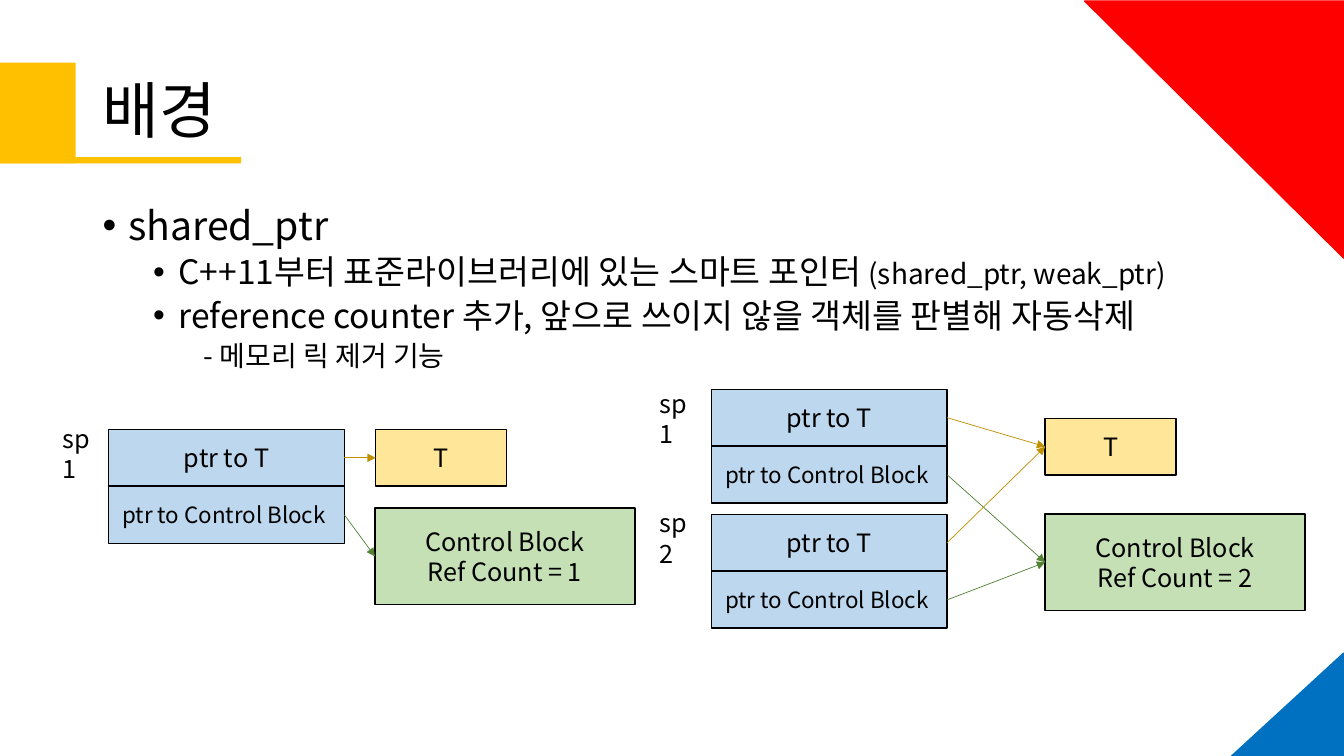
import pptx
import pptx.util
import pptx.dml.color
import pptx.enum.shapes
import pptx.enum.text
import pptx.oxml.ns
import lxml.etree

Cm = pptx.util.Cm
Pt = pptx.util.Pt
RGBColor = pptx.dml.color.RGBColor
SHAPE = pptx.enum.shapes.MSO_SHAPE
ANCHOR = pptx.enum.text.MSO_ANCHOR
ALIGN = pptx.enum.text.PP_ALIGN
qn = pptx.oxml.ns.qn

FONT = "Noto Sans CJK KR"
BLACK = RGBColor(0x00, 0x00, 0x00)
POINTER_BLUE = RGBColor(0xBD, 0xD7, 0xEE)
OBJECT_YELLOW = RGBColor(0xFF, 0xE6, 0x99)
CONTROL_GREEN = RGBColor(0xC5, 0xE0, 0xB4)
OBJECT_ARROW = RGBColor(0xBF, 0x90, 0x00)
CONTROL_ARROW = RGBColor(0x54, 0x82, 0x35)
GOLD = RGBColor(0xFF, 0xC0, 0x00)
CORNER_BLUE = RGBColor(0x00, 0x70, 0xC0)
CORNER_RED = RGBColor(0xFF, 0x00, 0x00)

CELL_WIDTH, CELL_HEIGHT, CELL_STEP = 5.94, 1.43, 1.44
LEFT_SITE, RIGHT_SITE = 1, 3


def add_run(para, text, size):
    span = para.add_run()
    span.text = text
    span.font.size = Pt(size)
    span.font.color.rgb = BLACK
    span.font.name = FONT
    lxml.etree.SubElement(span._r.get_or_add_rPr(), qn("a:ea"), typeface=FONT)


def add_text_box(page, left, top, width, height, anchor=ANCHOR.TOP):
    box = page.shapes.add_textbox(Cm(left), Cm(top), Cm(width), Cm(height))
    box.text_frame.word_wrap = True
    box.text_frame.vertical_anchor = anchor
    return box.text_frame


def add_shape(page, kind, left, top, width, height, fill, line=None):
    shape = page.shapes.add_shape(kind, Cm(left), Cm(top), Cm(width), Cm(height))
    shape.shadow.inherit = False
    shape.fill.solid()
    shape.fill.fore_color.rgb = fill
    if line is None:
        shape.line.fill.background()
    else:
        shape.line.color.rgb = line
        shape.line.width = Pt(1)
    return shape


def add_block(page, left, top, width, height, fill, lines, size=18):
    block = add_shape(page, SHAPE.RECTANGLE, left, top, width, height, fill, BLACK)
    frame = block.text_frame
    frame.vertical_anchor = ANCHOR.MIDDLE
    for index, text in enumerate(lines):
        para = frame.add_paragraph() if index else frame.paragraphs[0]
        para.alignment = ALIGN.CENTER
        add_run(para, text, size)
    return block


def add_pointer(page, name, left, top, label_left, label_top):
    """Draw a labelled shared_ptr and return its two cells."""
    object_cell = add_block(page, left, top, CELL_WIDTH, CELL_HEIGHT,
                            POINTER_BLUE, ["ptr to T"])
    control_cell = add_block(page, left, top + CELL_STEP, CELL_WIDTH, CELL_HEIGHT,
                             POINTER_BLUE, ["ptr to Control Block "], 16)
    label = add_text_box(page, label_left, label_top, 1.45, 1.8)
    add_run(label.paragraphs[0], name, 18)
    return object_cell, control_cell


def add_object(page, left, top):
    return add_block(page, left, top, 3.3, CELL_HEIGHT, OBJECT_YELLOW, ["T"])


def add_control(page, left, top, count):
    return add_block(page, left, top, 6.55, 2.44, CONTROL_GREEN,
                     ["Control Block", f"Ref Count = {count}"])


def add_arrow(page, source, target, color):
    arrow = page.shapes.add_connector(
        pptx.enum.shapes.MSO_CONNECTOR.STRAIGHT, 0, 0, 0, 0)
    arrow.begin_connect(source, RIGHT_SITE)
    arrow.end_connect(target, LEFT_SITE)
    arrow.line.color.rgb = color
    arrow.line.width = Pt(0.5)
    lxml.etree.SubElement(arrow.line._get_or_add_ln(), qn("a:tailEnd"), type="triangle")
    lxml.etree.SubElement(arrow._element.spPr, qn("a:effectLst"))


def link_pointer(page, cells, target, control):
    add_arrow(page, cells[0], target, OBJECT_ARROW)
    add_arrow(page, cells[1], control, CONTROL_ARROW)


def add_title(page, text):
    frame = add_text_box(page, 2.34, 1.02, 29.21, 3.68, ANCHOR.MIDDLE)
    para = frame.paragraphs[0]
    para.line_spacing = 0.9
    add_run(para, text, 44)


def add_body(page, items):
    """Each item holds left margin, hanging indent, bullet and runs."""
    frame = add_text_box(page, 2.34, 5.08, 29.69, 12.09)
    for index, (margin, hanging, bullet, runs) in enumerate(items):
        para = frame.add_paragraph() if index else frame.paragraphs[0]
        para.line_spacing = 0.9
        para.space_before = Pt(5 if index else 0)
        properties = para._p.get_or_add_pPr()
        properties.set("marL", str(Cm(margin)))
        properties.set("indent", str(-Cm(hanging)))
        if bullet:
            lxml.etree.SubElement(properties, qn("a:buFont"), typeface="Arial")
            lxml.etree.SubElement(properties, qn("a:buChar"), char=bullet)
        else:
            lxml.etree.SubElement(properties, qn("a:buNone"))
        for text, size in runs:
            add_run(para, text, size)


def add_corner(page, left, top, width, height, color, rotation=0):
    corner = add_shape(page, SHAPE.ISOSCELES_TRIANGLE, left, top, width, height,
                       color, color)
    corner.adjustments[0] = 1
    corner.rotation = rotation


def main():
    deck = pptx.Presentation()
    deck.slide_width, deck.slide_height = Cm(33.87), Cm(19.05)
    page = deck.slides.add_slide(deck.slide_layouts[6])

    # Title and bullets
    add_title(page, "배경")
    add_body(page, [
        (0.64, 0.64, "•", [("shared_ptr", 28)]),
        (1.91, 0.64, "•", [("C++11부터 표준라이브러리에 있는 스마트 포인터 ", 24),
                           ("(shared_ptr, weak_ptr)", 20)]),
        (1.91, 0.64, "•", [("reference counter 추가, 앞으로 쓰이지 않을 "
                            "객체를 판별해 자동삭제", 24)]),
        (2.54, 0, None, [("- 메모리 릭 제거 기능", 20)]),
    ])

    # One owner
    target = add_object(page, 9.47, 10.82)
    control = add_control(page, 9.45, 12.8, 1)
    owner = add_pointer(page, "sp1", 2.74, 10.82, 1.32, 10.54)
    link_pointer(page, owner, target, control)

    # Two owners of the same object
    target = add_object(page, 26.34, 10.54)
    control = add_control(page, 26.34, 12.95, 2)
    for name, top, label_top in (("sp1", 9.81, 9.65), ("sp2", 12.96, 12.67)):
        owner = add_pointer(page, name, 17.93, top, 16.38, label_top)
        link_pointer(page, owner, target, control)

    # Title mark and corners
    add_shape(page, SHAPE.RECTANGLE, 0, 1.58, 1.91, 2.54, GOLD)
    add_shape(page, SHAPE.RECTANGLE, 0, 3.96, 6.08, 0.16, GOLD)
    add_corner(page, 31.04, 16.46, 2.82, 2.59, CORNER_BLUE)
    add_corner(page, 27.36, 0, 6.48, 6.53, CORNER_RED, 270)

    deck.save("out.pptx")


if __name__ == "__main__":
    main()
